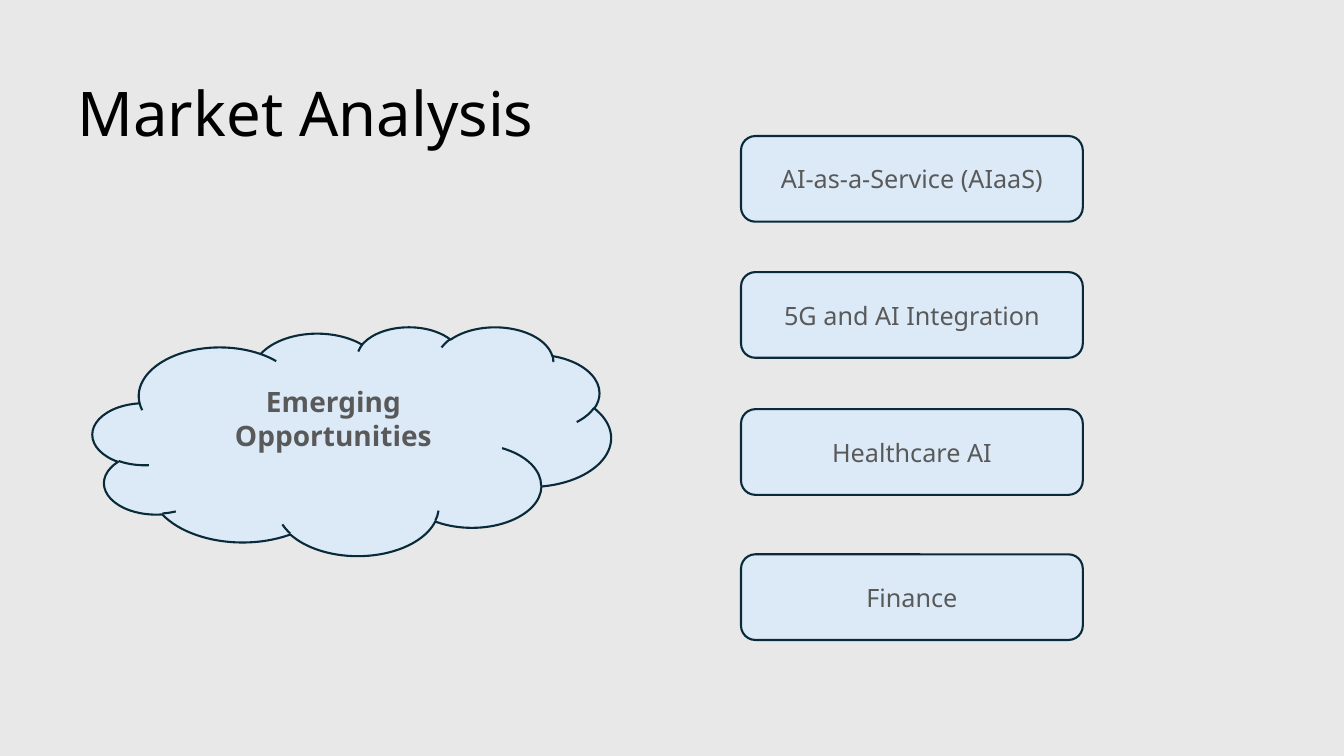
from dataclasses import dataclass

from pptx import Presentation
from pptx import util as u
from pptx.dml.color import RGBColor
from pptx.enum import shapes, text

WIDTH, HEIGHT = u.Inches(13.33), u.Inches(7.5)


@dataclass(frozen=True)
class Theme:
    font: str = "Noto Sans"
    background: str = "E8E8E8"
    heading: str = "000000"
    body: str = "595959"
    fill: str = "DCEAF7"
    outline: str = "092A39"
    outline_width: float = 1.5
    title_size: int = 44
    theme_size: int = 20
    item_size: int = 18


THEME = Theme()

# Opportunity and the top of its box, in percent of the slide's height
OPPORTUNITIES = [
    ("AI-as-a-Service (AIaaS)", 18),
    ("5G and AI Integration", 36),
    ("Healthcare AI", 54.13),
    ("Finance", 73.33),
]


def place(left, top, width, height):
    """Turn percentages of the slide's size into lengths."""
    return (int(WIDTH * left / 100), int(HEIGHT * top / 100),
            int(WIDTH * width / 100), int(HEIGHT * height / 100))


def write(frame, wording, size, color, bold=False):
    frame.word_wrap = True
    frame.vertical_anchor = text.MSO_ANCHOR.MIDDLE
    line = frame.paragraphs[0]
    line.text = wording
    line.font.name = THEME.font
    line.font.size = u.Pt(size)
    line.font.bold = bold
    line.font.color.rgb = RGBColor.from_string(color)
    return line


def add_title(slide, wording, area):
    title = slide.shapes.add_textbox(*area)
    line = write(title.text_frame, wording, THEME.title_size, THEME.heading)
    line.line_spacing = 0.9


def add_bubble(slide, preset, wording, area, size, bold=False):
    """Add an outlined shape with centred text."""
    bubble = slide.shapes.add_shape(preset, *area)
    bubble.shadow.inherit = False
    bubble.fill.solid()
    bubble.fill.fore_color.rgb = RGBColor.from_string(THEME.fill)
    bubble.line.color.rgb = RGBColor.from_string(THEME.outline)
    bubble.line.width = u.Pt(THEME.outline_width)
    line = write(bubble.text_frame, wording, size, THEME.body, bold)
    line.alignment = text.PP_ALIGN.CENTER
    return bubble


def main():
    deck = Presentation()
    deck.slide_width, deck.slide_height = WIDTH, HEIGHT
    slide = deck.slides.add_slide(deck.slide_layouts[6])
    slide.background.fill.solid()
    slide.background.fill.fore_color.rgb = RGBColor.from_string(THEME.background)

    add_title(slide, "Market Analysis", place(5.03, 9.73, 90, 11.47))
    cloud = add_bubble(slide, shapes.MSO_SHAPE.CLOUD, "Emerging Opportunities",
                       place(6.9, 43.2, 38.56, 30.27), THEME.theme_size, bold=True)
    cloud.text_frame.margin_bottom = u.Inches(0.39)  # lifts the words above centre
    for opportunity, top in OPPORTUNITIES:
        add_bubble(slide, shapes.MSO_SHAPE.ROUNDED_RECTANGLE, opportunity,
                   place(55.14, top, 25.43, 11.33), THEME.item_size)

    deck.save("out.pptx")


if __name__ == "__main__":
    main()
